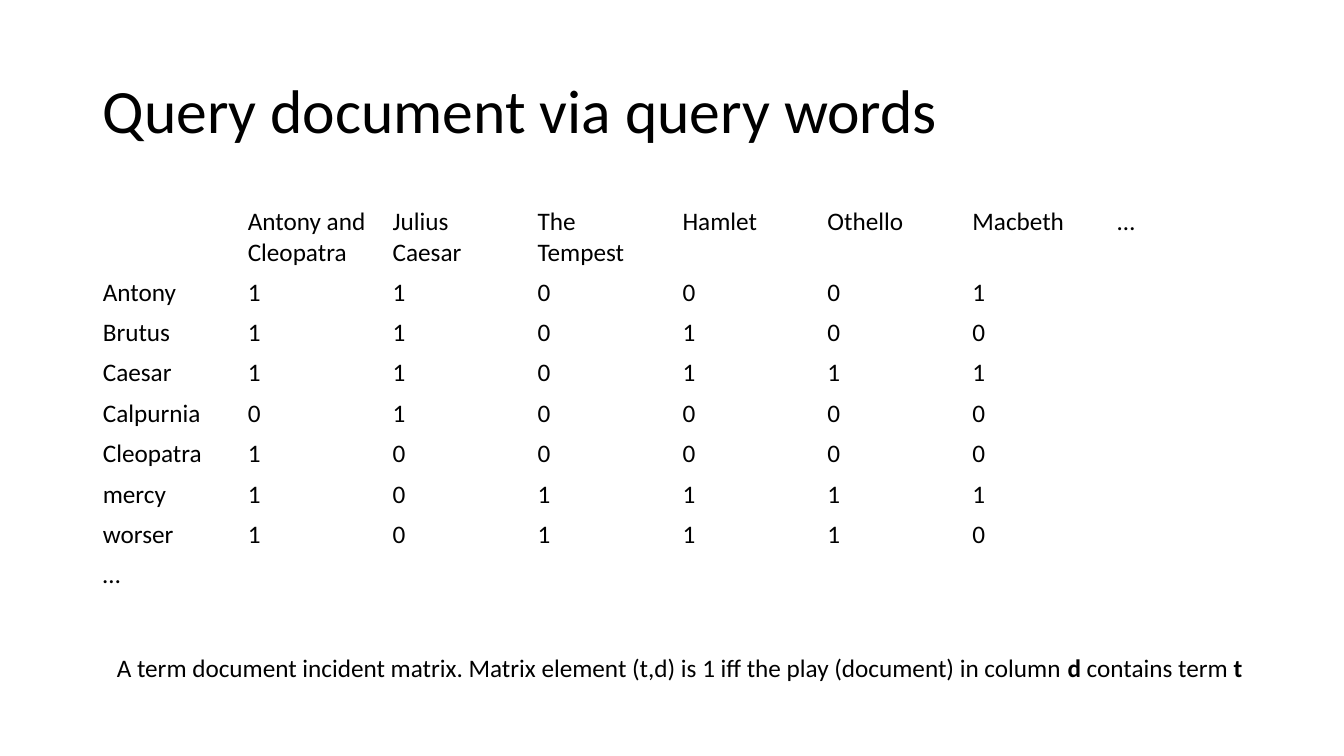
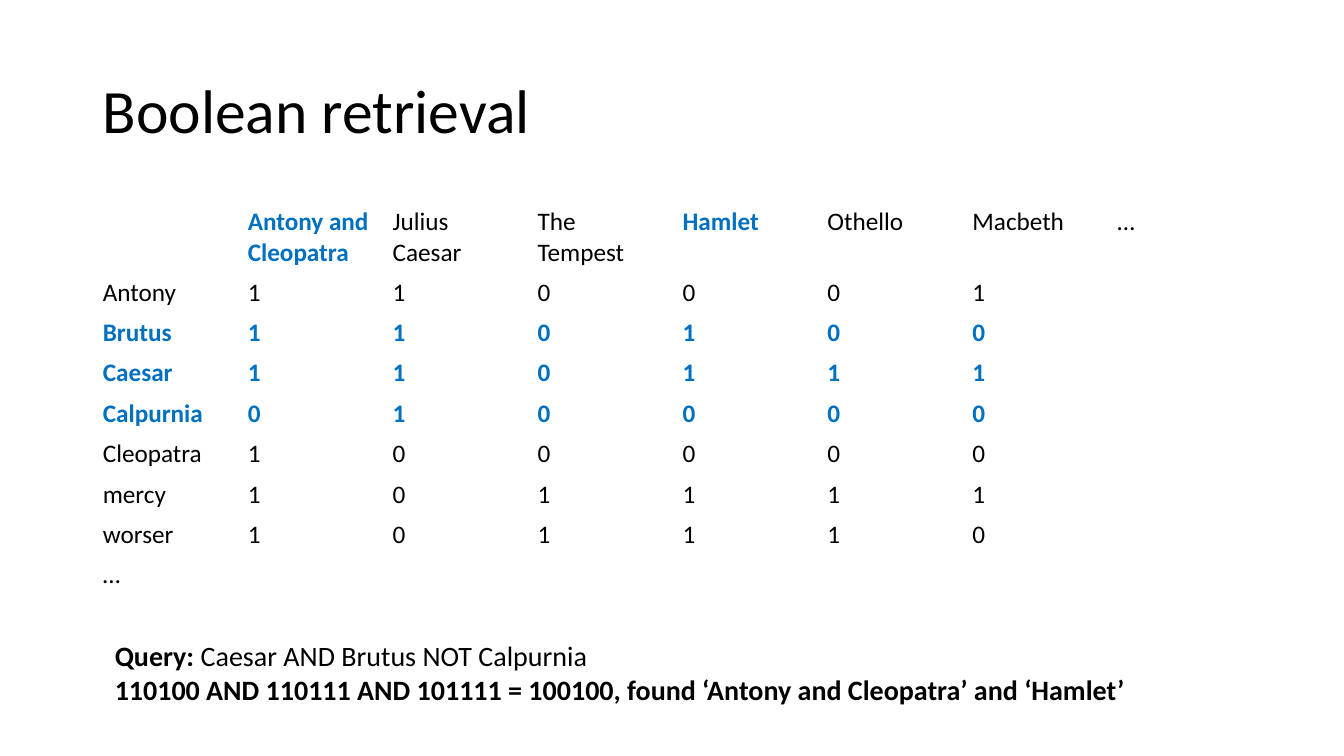
from dataclasses import dataclass

from pptx import Presentation
from pptx.dml.color import RGBColor
from pptx.enum.text import MSO_ANCHOR as Anchor, MSO_AUTO_SIZE as AutoSize
from pptx.slide import Slide
from pptx.util import Inches, Pt

FONT = "Calibri"
BLACK = "000000"
BLUE = "0070C0"
LEFT, WIDTH = 0.92, 11.5
TABLE_TOP, ROW_HEIGHT = 2.0, 0.4
TABLE_SIZE = 18

PLAYS = ["Antony and Cleopatra", "Julius Caesar", "The Tempest",
         "Hamlet", "Othello", "Macbeth"]
INCIDENCE = {
    "Antony": "110001",
    "Brutus": "110100",
    "Caesar": "110111",
    "Calpurnia": "010000",
    "Cleopatra": "100000",
    "mercy": "101111",
    "worser": "101110",
}
MATRIX = [["", *PLAYS, "…"],
          *([term, *bits, ""] for term, bits in INCIDENCE.items()),
          ["…"] + [""] * (len(PLAYS) + 1)]


@dataclass(frozen=True)
class Run:
    text: str
    bold: bool = False


@dataclass(frozen=True)
class Caption:
    left: float
    top: float
    width: float
    height: float
    size: int
    lines: list[list[Run]]


@dataclass(frozen=True)
class MatrixSlide:
    title: str
    caption: Caption
    marked_terms: frozenset[str] = frozenset()
    marked_plays: frozenset[str] = frozenset()


SLIDES = [
    MatrixSlide(
        "Query document via query words",
        Caption(1.06, 6.42, 11.42, 0.4, 18, [[
            Run("A term document incident matrix. Matrix element (t,d) is 1 "
                "iff the play (document) in column "),
            Run("d", True), Run(" contains term "), Run("t", True)]]),
    ),
    MatrixSlide(
        "Boolean retrieval",
        Caption(1.04, 6.29, 10.3, 0.77, 20, [
            [Run("Query: ", True), Run("Caesar AND Brutus NOT Calpurnia")],
            [Run("110100 AND 110111 AND 101111 = 100100, "
                 "found ‘Antony and Cleopatra’ and ‘Hamlet’", True)]]),
        frozenset({"Brutus", "Caesar", "Calpurnia"}),
        frozenset({"Antony and Cleopatra", "Hamlet"}),
    ),
]


def rgb(color: str) -> RGBColor:
    return RGBColor.from_string(color)


def add_run(p, run: Run, size: int, color: str = BLACK) -> None:
    r = p.add_run()
    r.text = run.text
    r.font.name = FONT
    r.font.size = Pt(size)
    r.font.bold = run.bold
    r.font.color.rgb = rgb(color)


def add_title(s: Slide, title: str) -> None:
    sp = s.shapes.add_textbox(Inches(LEFT), Inches(0.4), Inches(WIDTH), Inches(1.45))
    tf = sp.text_frame
    tf.word_wrap = True
    tf.vertical_anchor = Anchor.MIDDLE
    p = tf.paragraphs[0]
    p.line_spacing = 0.9
    add_run(p, Run(title), 44)


def add_matrix(s: Slide, spec: MatrixSlide) -> None:
    rows, cols = len(MATRIX), len(MATRIX[0])
    table = s.shapes.add_table(rows, cols, Inches(LEFT), Inches(TABLE_TOP),
                               Inches(WIDTH), Inches(ROW_HEIGHT * rows)).table
    table.first_row = False
    table.horz_banding = False
    for i, values in enumerate(MATRIX):
        for j, text in enumerate(values):
            cell = table.cell(i, j)
            cell.fill.background()
            p = cell.text_frame.paragraphs[0]
            p.font.size = Pt(TABLE_SIZE)
            if text:
                marked = (values[0] in spec.marked_terms
                          or i == 0 and text in spec.marked_plays)
                add_run(p, Run(text, marked), TABLE_SIZE, BLUE if marked else BLACK)


def add_caption(s: Slide, caption: Caption) -> None:
    sp = s.shapes.add_textbox(Inches(caption.left), Inches(caption.top),
                              Inches(caption.width), Inches(caption.height))
    tf = sp.text_frame
    tf.word_wrap = False
    tf.auto_size = AutoSize.SHAPE_TO_FIT_TEXT
    for i, line in enumerate(caption.lines):
        p = tf.add_paragraph() if i else tf.paragraphs[0]
        for run in line:
            add_run(p, run, caption.size)


def main() -> None:
    prs = Presentation()
    prs.slide_width, prs.slide_height = Inches(13.33), Inches(7.5)
    for spec in SLIDES:
        s = prs.slides.add_slide(prs.slide_layouts[6])
        add_title(s, spec.title)
        add_matrix(s, spec)
        add_caption(s, spec.caption)
    prs.save("out.pptx")


if __name__ == "__main__":
    main()
